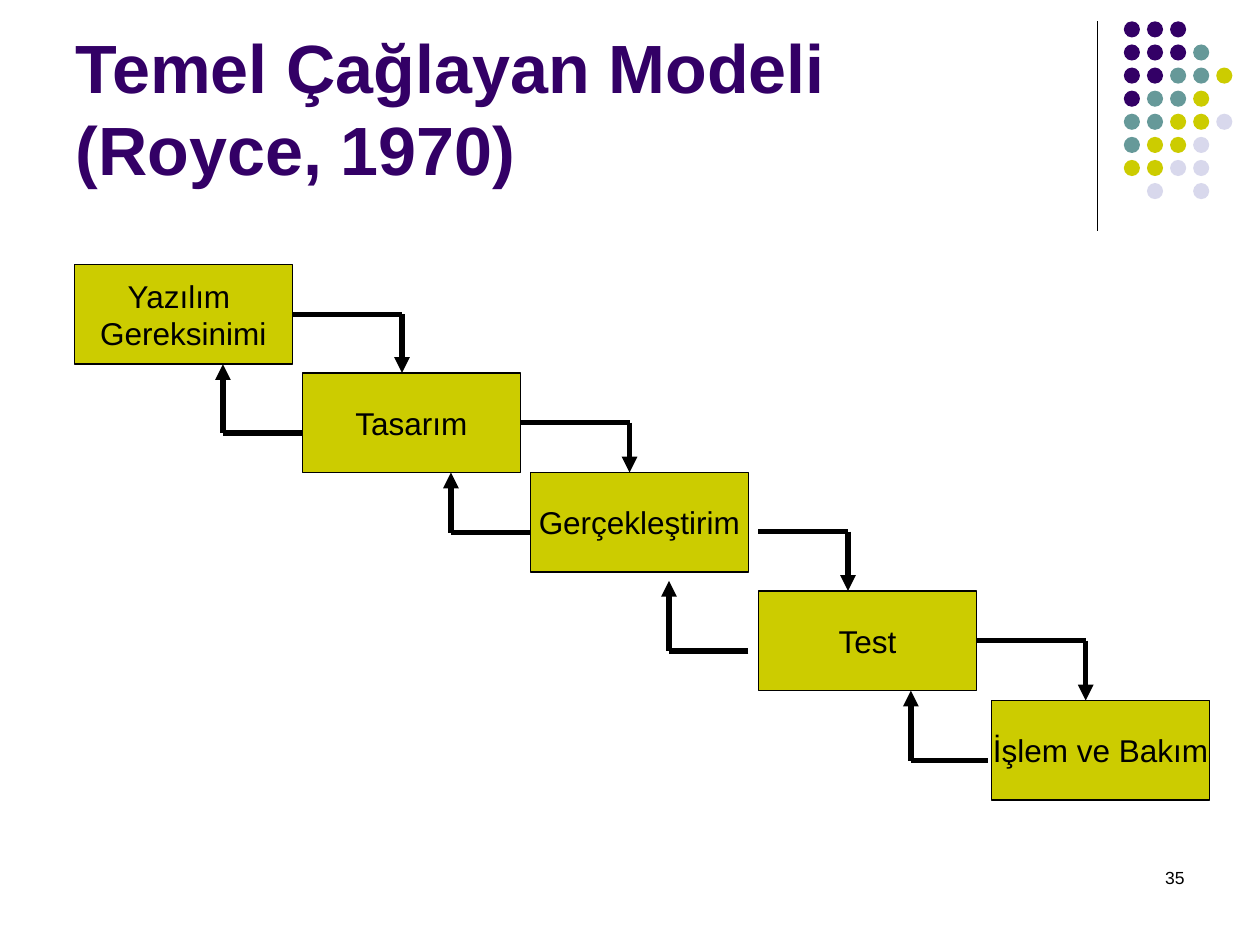
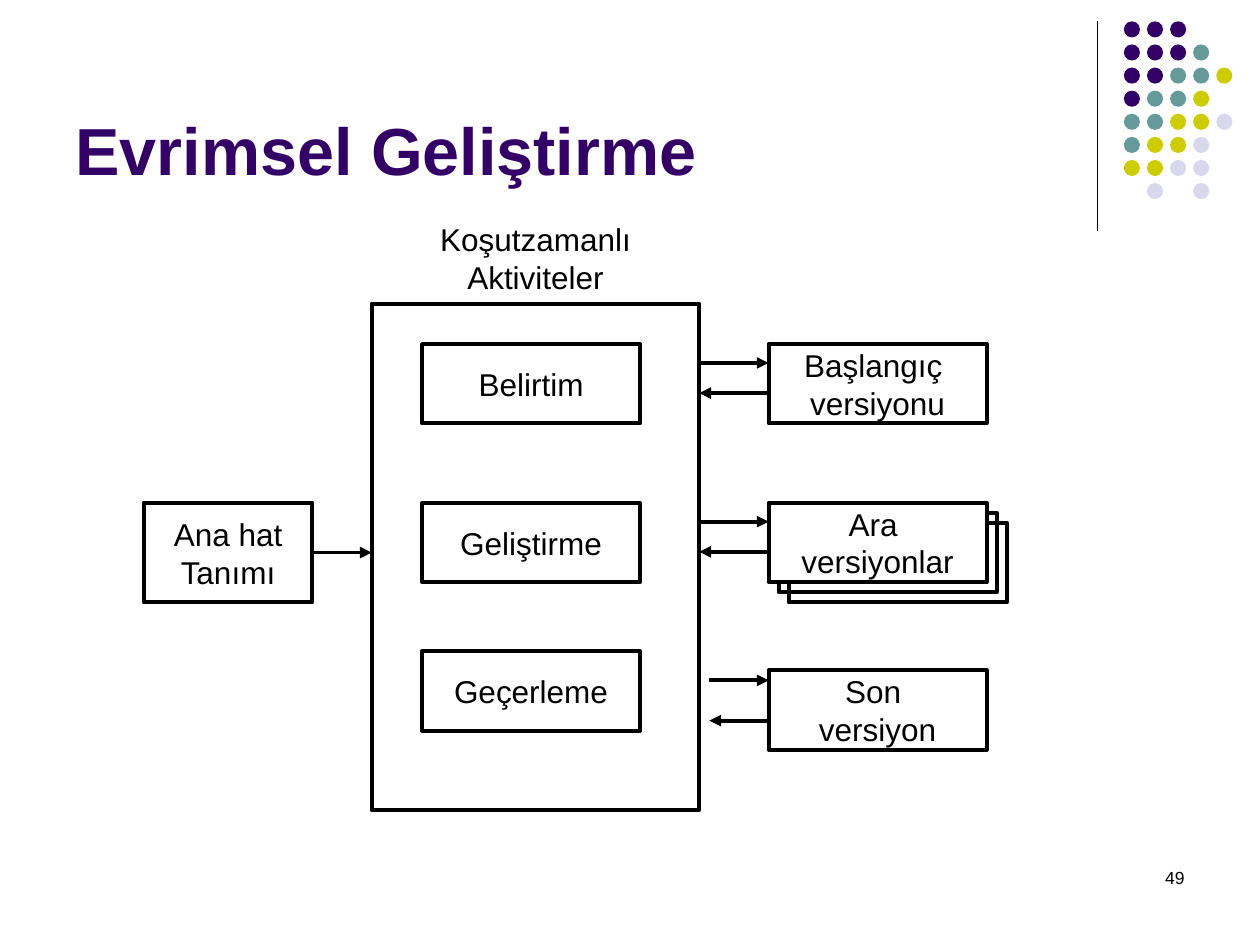
from lxml.etree import SubElement
from pptx import Presentation
from pptx.dml.color import RGBColor
from pptx.enum.shapes import MSO_CONNECTOR as CONNECTOR, MSO_SHAPE as SHAPE
from pptx.enum.text import MSO_ANCHOR as ANCHOR, MSO_AUTO_SIZE as AUTO_SIZE, PP_ALIGN as ALIGN
from pptx.oxml.ns import qn
from pptx.util import Pt

FONT = "Arial"
BLACK, WHITE, PURPLE, TEAL, OLIVE, LILAC = (
    "000000", "FFFFFF", "330066", "669999", "CCCC00", "D8D8EC")
DOT_COLORS = {"P": PURPLE, "T": TEAL, "O": OLIVE, "L": LILAC}
DOT_ROWS = ["PPP", "PPPT", "PPTTO", "PTTO", "TTOOL", "TOOL", "OOLL", " L L"]
BOX_W = 124.6


def rgb(value):
    return RGBColor.from_string(value)


def write(tf, text, size, color=BLACK, align=ALIGN.LEFT, bold=False):
    tf.text = text
    for p in tf.paragraphs:
        p.alignment = align
        for r in p.runs:
            r.font.name = FONT
            r.font.size = Pt(size)
            r.font.bold = bold
            r.font.color.rgb = rgb(color)


def add_text(slide, box, text, size, align):
    tf = slide.shapes.add_textbox(*map(Pt, box)).text_frame
    tf.word_wrap = True
    write(tf, text, size, align=align)


def add_preset(shapes, kind, box, fill=None, weight=None):
    sp = shapes.add_shape(kind, *map(Pt, box))
    sp.shadow.inherit = False
    if fill:
        sp.fill.solid()
        sp.fill.fore_color.rgb = rgb(fill)
    else:
        sp.fill.background()
    if weight:
        sp.line.color.rgb = rgb(BLACK)
        sp.line.width = Pt(weight)
    else:
        sp.line.fill.background()
    return sp


def add_box(slide, box, text="", fill=None, weight=2.25):
    sp = add_preset(slide.shapes, SHAPE.RECTANGLE, box, fill, weight)
    if text:
        tf = sp.text_frame
        tf.word_wrap = False
        tf.vertical_anchor = ANCHOR.MIDDLE
        write(tf, text, 18, align=ALIGN.CENTER)
    return sp


def add_line(slide, start, end, weight, arrow=False):
    line = slide.shapes.add_connector(CONNECTOR.STRAIGHT, *map(Pt, start + end))
    line.line.color.rgb = rgb(BLACK)
    line.line.width = Pt(weight)
    if arrow:
        SubElement(line.line._get_or_add_ln(), qn("a:tailEnd"), type="triangle")
    SubElement(line._element.spPr, qn("a:effectLst"))
    return line


def add_dots(slide, left, top, pitch=13.2, size=9.2):
    group = slide.shapes.add_group_shape()
    for row, codes in enumerate(DOT_ROWS):
        for col, code in enumerate(codes):
            if code in DOT_COLORS:
                box = left + col * pitch, top + row * pitch, size, size
                add_preset(group.shapes, SHAPE.OVAL, box, DOT_COLORS[code])


def add_slide(prs, title, title_size, number):
    slide = prs.slides.add_slide(prs.slide_layouts[5])
    add_line(slide, (627, 12.2), (627, 131.8), 0.75)
    add_dots(slide, 642.2, 12.2)
    add_text(slide, (516.2, 491.8, 167.8, 36), number, 10, ALIGN.RIGHT)
    sp = slide.shapes.title
    sp.left, sp.top, sp.width, sp.height = map(Pt, (36, 9.4, 594, 102.2))
    tf = sp.text_frame
    tf.auto_size = AUTO_SIZE.NONE
    tf.vertical_anchor = ANCHOR.BOTTOM
    tf.margin_right = Pt(14)
    write(tf, title, title_size, PURPLE, bold=True)
    return slide


def add_elbow(slide, start, corner_x, end_y, source=None):
    corner = corner_x, start[1]
    leg = add_line(slide, start, corner, 3)
    if source:
        leg.begin_connect(source, 3)
    add_line(slide, corner, (corner_x, end_y), 3, arrow=True)


def add_waterfall(slide, left, top):
    height = 56.9
    phases = [("Yazılım \nGereksinimi", 0, 0), ("Tasarım", 130.3, 61.9),
              ("Gerçekleştirim", 260.6, 118.8), ("Test", 390.9, 186.5),
              ("İşlem ve Bakım", 524.1, 249.1)]
    links = [(0, 62.6, 0, 45.4, 0), (0, 62.4, 0, 45.4, 0),
             (5.7, 56.9, 5.4, 51.1, 5), (0, 62.4, 0, 46.1, 2.1)]
    boxes = [add_box(slide, (left + x, top + y, BOX_W, height), text, OLIVE, 0.75)
             for text, x, y in phases]
    for i, (gap, forward, shift, back, back_gap) in enumerate(links):
        x, y = left + phases[i][1], top + phases[i][2]
        next_x, next_y = left + phases[i + 1][1], top + phases[i + 1][2]
        right, bottom = x + BOX_W, y + height
        add_elbow(slide, (right + gap, y + height / 2 + shift), right + forward,
                  next_y, None if gap else boxes[i])
        back_x = next_x - back
        back_start = next_x - (5.7 if i == 2 else back_gap), next_y + 34.3
        add_elbow(slide, back_start, back_x, bottom + (back_gap if i == 2 else 0))


def add_activities(slide, left, top, width, height):
    add_text(slide, (left + 11.5, top - 51.1, 164.2, 50.4),
             "Koşutzamanlı Aktiviteler", 18, ALIGN.CENTER)
    stages = [("Belirtim", 23.1), ("Geliştirme", 113.8), ("Geçerleme", 198.7)]
    for text, y in stages:
        add_box(slide, (left + 28.8, top + y, BOX_W, 45.4), text)
    add_box(slide, (left, top, width, height))


def add_outline(slide, left, top, frame_left):
    width, height = 96.5, 56.9
    source = add_box(slide, (left, top, width, height), "Ana hat\nTanımı")
    y = top + height / 2
    arrow = add_line(slide, (left + width, y), (frame_left, y), 2.25, arrow=True)
    arrow.begin_connect(source, 3)


def add_versions(slide, left, top, frame_right):
    versions = [("Başlangıç \nversiyonu", 0, 0, 10.8, 28, 0),
                ("Ara \nversiyonlar", 90.7, 2, 10.8, 28, 0),
                ("Son \nversiyon", 186.4, 0, 5.8, 28.8, 5.8)]
    for text, dy, copies, out_y, back_y, gap in versions:
        y = top + dy
        for n in range(copies, 0, -1):
            add_box(slide, (left + n * 5.75, y + n * 5.75, BOX_W, 45.4))
        add_box(slide, (left, y, BOX_W, 45.4), text, WHITE if copies else None)
        start = frame_right + gap
        add_line(slide, (start, y + out_y), (left, y + out_y), 2.25, arrow=True)
        add_line(slide, (left, y + back_y), (start, y + back_y), 2.25, arrow=True)


def add_evolution(slide, left, top):
    frame_x, frame_w = left + 130.3, 187.2
    add_outline(slide, left, top + 113.8, frame_x)
    add_activities(slide, frame_x, top, frame_w, 289.4)
    add_versions(slide, left + 357.1, top + 23.1, frame_x + frame_w)


def main():
    prs = Presentation()
    prs.slide_width, prs.slide_height = Pt(720), Pt(540)
    add_waterfall(add_slide(prs, "Temel Çağlayan Modeli (Royce, 1970)", 39, "35"),
                  42.5, 151.2)
    add_evolution(add_slide(prs, "Evrimsel Geliştirme", 38, "49"), 82.1, 173.5)
    prs.save("out.pptx")


if __name__ == "__main__":
    main()
